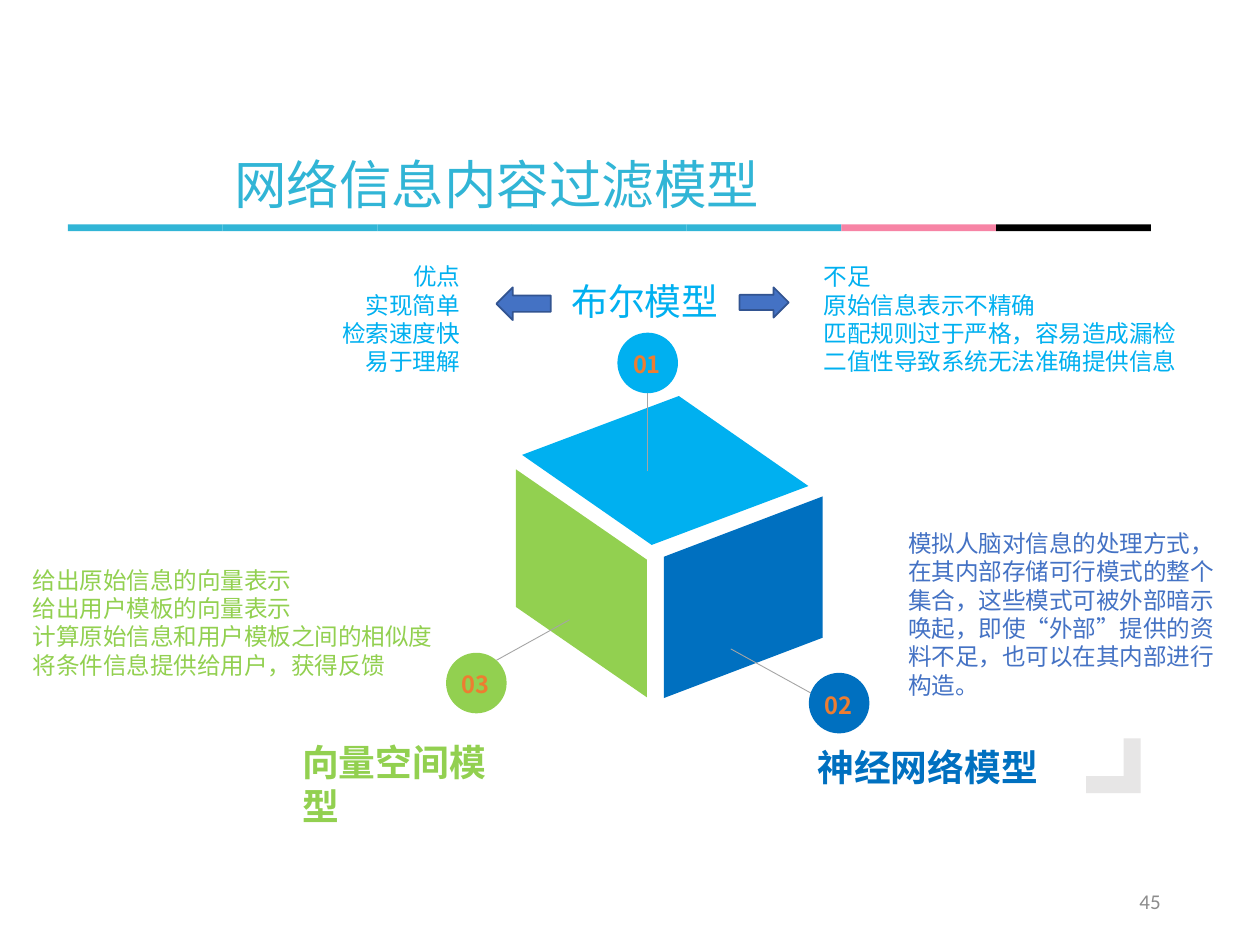
from pptx import Presentation
from pptx.dml.color import RGBColor
from pptx.enum.shapes import MSO_CONNECTOR, MSO_SHAPE
from pptx.enum.text import MSO_ANCHOR, MSO_AUTO_SIZE, PP_ALIGN
from pptx.oxml.ns import qn
from pptx.util import Pt
from lxml.etree import SubElement

# Content
CJK = "Noto Sans CJK SC"
SKY, LIME, BLUE, NAVY = "00B0F0", "92D050", "0070C0", "4472C4"
TITLE = "网络信息内容过滤模型"
BARS = ["31B5D6"] * 5 + ["F784A5", "000000"]
LEFT, RIGHT, MID = PP_ALIGN.LEFT, PP_ALIGN.RIGHT, PP_ALIGN.CENTER

# box, colour, size, bold, alignment, lines
TEXTS = [
    ((307.4, 158.4, 110.2, 31.7), SKY, 21, False, RIGHT, ["布尔模型"]),
    ((460, 422, 173.5, 32.4), BLUE, 21, True, LEFT, ["神经网络模型"]),
    ((165.6, 419, 138.2, 58.3), LIME, 21, True, LEFT, ["向量空间模型"]),
    ((109.4, 146.2, 160.6, 72.7), SKY, 13.5, False, RIGHT,
     ["优点", "实现简单", "检索速度快", "易于理解"]),
    ((463.7, 146.2, 253.4, 72.7), SKY, 13.5, False, LEFT,
     ["不足", "原始信息表示不精确", "匹配规则过于严格，容易造成漏检",
      "二值性导致系统无法准确提供信息"]),
    ((511.9, 298.8, 190.8, 105.1), NAVY, 13.5, False, LEFT,
     ["模拟人脑对信息的处理方式，在其内部存储可行模式的整个集合，"
      "这些模式可被外部暗示唤起，即使“外部”提供的资料不足，"
      "也可以在其内部进行构造。"]),
    ((11.5, 319.7, 245.5, 72.7), LIME, 13.5, False, LEFT,
     ["给出原始信息的向量表示", "给出用户模板的向量表示",
      "计算原始信息和用户模板之间的相似度", "将条件信息提供给用户，获得反馈"]),
]
# box, turn, flip, slant, colour
FACES = [
    ((306.7, 231.8, 146.9, 74.2), 339.4, "flipV", 0.69, SKY),
    ((267.1, 295.9, 130.3, 74.9), 90, None, 0.69, LIME),
    ((367.2, 295.9, 115.2, 90.7), 90, "flipH", 0.38, BLUE),
]
LINES = [(370.1, 269.3, 370.1, 219.6), (417.6, 370.8, 467.3, 398.2),
         (325.4, 354.2, 283.7, 377.3)]
# label, left, top, colour
DOTS = [("01", 352.8, 190.1, SKY), ("02", 462.2, 384.5, BLUE),
        ("03", 254.9, 373, LIME)]
ARROWS = [(MSO_SHAPE.LEFT_ARROW, (283.7, 164.2, 31, 18.7)),
          (MSO_SHAPE.RIGHT_ARROW, (422.6, 164.2, 28.1, 17.3))]


def paint(part, hue):
    part.solid()
    part.fore_color.rgb = RGBColor.from_string(hue)


def pts(box):
    return [Pt(n) for n in box]


def shape(where, kind, box, hue, edge=None):
    item = where.add_shape(kind, *pts(box))
    item.shadow.inherit = False
    paint(item.fill, hue)
    if edge:
        paint(item.line.fill, edge)
        item.line.width = Pt(1)
    else:
        item.line.fill.background()
    return item


def write(item, lines, hue, size, bold=False, align=LEFT, font=CJK):
    frame = item.text_frame
    for i, line in enumerate(lines):
        para = frame.add_paragraph() if i else frame.paragraphs[0]
        para.alignment = align
        run = para.add_run()
        run.text = line
        run.font.size, run.font.bold, run.font.name = Pt(size), bold, font
        paint(run.font.fill, hue)
        SubElement(run.font._element, qn("a:ea"), typeface=font)
    return frame


def label(box, *style, wrap=True):
    item = page.shapes.add_textbox(*pts(box))
    frame = write(item, *style)
    frame.word_wrap = wrap
    return frame


deck = Presentation()
deck.slide_width, deck.slide_height = Pt(720), Pt(540)
page = deck.slides.add_slide(deck.slide_layouts[5])

# Corner mark
x, y, side, thick = 620.6, 422, 31.2, 9.7
form = page.shapes.build_freeform(Pt(x + side), Pt(y + side), scale=1.0)
form.add_line_segments([pts(p) for p in [
    (x, y + side), (x, y + side - thick),
    (x + side - thick, y + side - thick),
    (x + side - thick, y), (x + side, y)]])
mark = form.convert_to_shape()
mark.shadow.inherit = False
paint(mark.fill, "E7E6E6")
mark.line.fill.background()

# Title and the striped rule below it
head = page.shapes.title
head.left, head.top, head.width, head.height = pts((126.7, 83.5, 317.5, 43.9))
frame = write(head, [TITLE], "31B5D6", 30)
frame.word_wrap = False
frame.auto_size = MSO_AUTO_SIZE.NONE
frame.vertical_anchor = MSO_ANCHOR.TOP
rule = page.shapes.add_group_shape()
step = 88.4
for i, hue in enumerate(BARS):
    shape(rule.shapes, MSO_SHAPE.RECTANGLE,
          (38.8 + i * step, 128.3, step, 3.8), hue)

# Cube faces
for box, turn, flip, slant, hue in FACES:
    face = shape(page.shapes, MSO_SHAPE.PARALLELOGRAM, box, hue)
    face.rotation = turn
    face.adjustments[0] = slant
    if flip:
        face._element.spPr.xfrm.set(flip, "1")

# Leader lines, then numbered dots
for ends in LINES:
    line = page.shapes.add_connector(MSO_CONNECTOR.STRAIGHT, *pts(ends))
    paint(line.line.fill, "A5A5A5")
    line.line.width = Pt(0.5)
    SubElement(line._element.spPr, qn("a:effectLst"))
for text, x, y, hue in DOTS:
    shape(page.shapes, MSO_SHAPE.OVAL, (x, y, 34.6, 34.6), hue)
    label((x + 1.4, y + 6.5, 31, 27), [text], "ED7D31", 13.5, True, MID,
          wrap=False)

# Model names and notes
for box, hue, size, bold, align, lines in TEXTS:
    frame = label(box, lines, hue, size, bold, align)
    if lines == ["布尔模型"]:
        frame.paragraphs[0].line_spacing = 0.9
        frame.paragraphs[0].space_before = Pt(7.5)

# Arrows and page number
for kind, box in ARROWS:
    shape(page.shapes, kind, box, NAVY, "325491")
foot = label((508.3, 500.4, 162, 28.8), ["45"], "8C8C8C", 12, False, RIGHT,
             "Calibri")
foot.vertical_anchor = MSO_ANCHOR.MIDDLE

deck.save("out.pptx")
